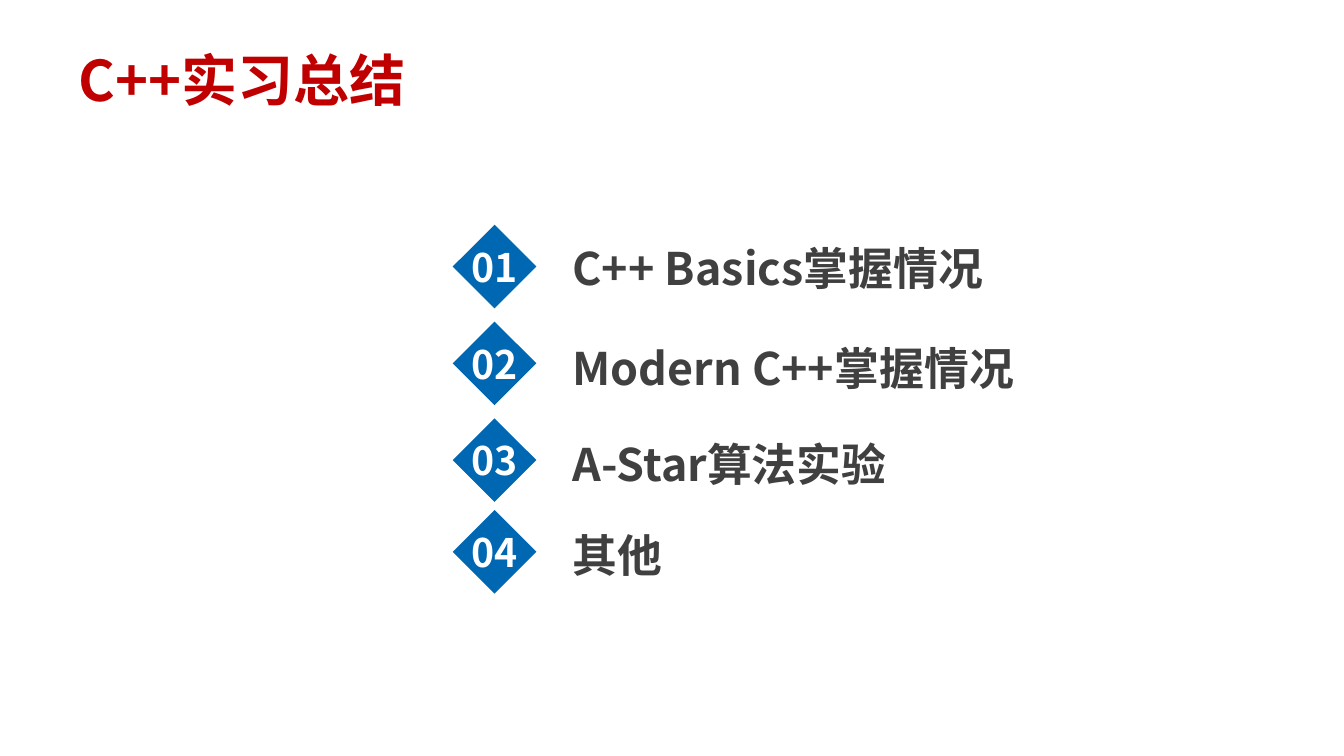
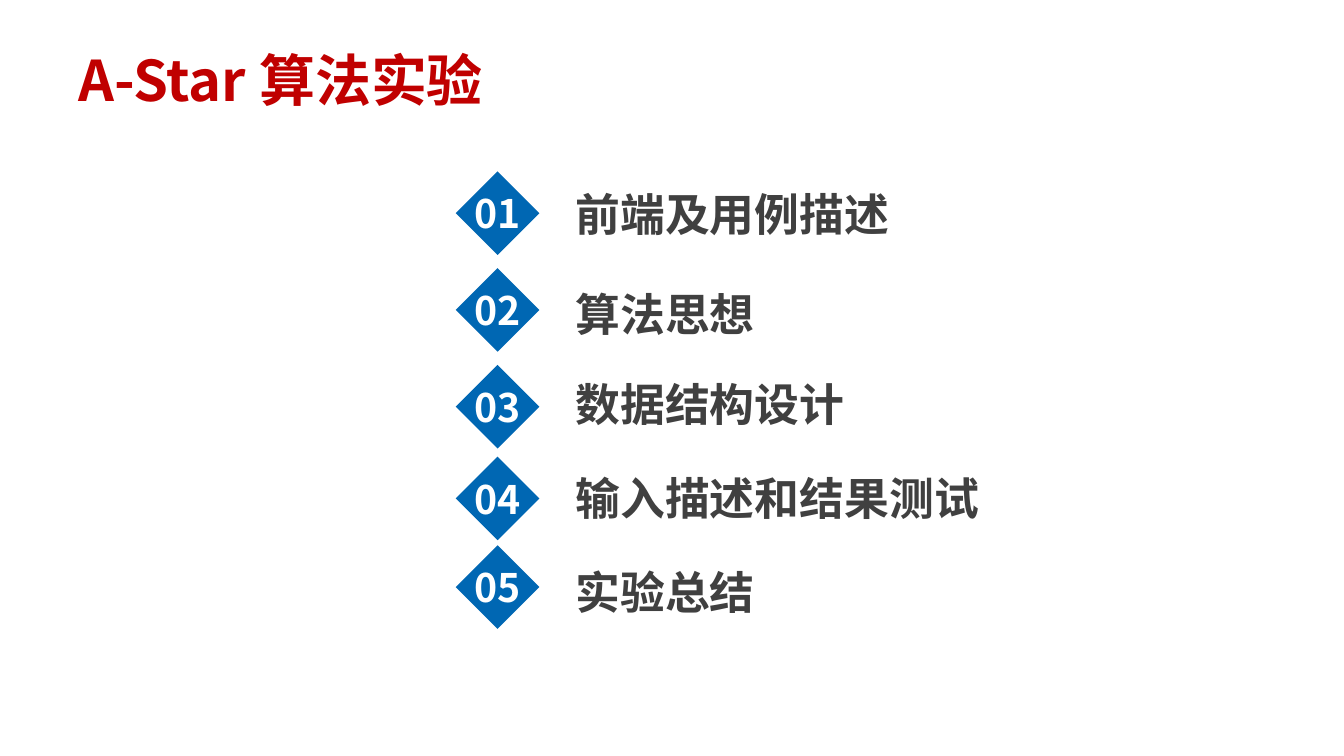
from dataclasses import dataclass

from lxml import etree
from pptx import Presentation
from pptx.dml.color import RGBColor
from pptx.enum.shapes import MSO_SHAPE
from pptx.enum.text import MSO_ANCHOR, PP_ALIGN
from pptx.oxml.ns import qn
from pptx.util import Inches, Pt

DIAMOND = MSO_SHAPE.DIAMOND
MIDDLE = MSO_ANCHOR.MIDDLE
LEFT = PP_ALIGN.LEFT
CENTER = PP_ALIGN.CENTER
BLANK_LAYOUT = 6


@dataclass(frozen=True)
class Theme:
    font: str = "Noto Sans CJK SC"
    title_color: RGBColor = RGBColor(0xC0, 0x00, 0x00)
    label_color: RGBColor = RGBColor(0x40, 0x40, 0x40)
    number_color: RGBColor = RGBColor(0xFF, 0xFF, 0xFF)
    diamond_color: RGBColor = RGBColor(0x00, 0x67, 0xB3)
    title_size: int = 40
    label_size: int = 32
    number_size: int = 28


THEME = Theme()
DIAMOND_SIZE = 0.83
LABEL_OFFSET = 1.09

AGENDAS = [
    ("C++实习总结", 4.49, [
        ("C++ Basics掌握情况", 2.23, 2.34),
        ("Modern C++掌握情况", 3.19, 3.33),
        ("A-Star算法实验", 4.15, 4.28),
        ("其他", 5.06, 5.19),
    ]),
    ("A-Star 算法实验", 4.52, [
        ("前端及用例描述", 1.7, 1.8),
        ("算法思想", 2.66, 2.8),
        ("数据结构设计", 3.62, 3.69),
        ("输入描述和结果测试", 4.53, 4.62),
        ("实验总结", 5.41, 5.55),
    ]),
]


def write_text(text_frame, text, size, color, alignment=LEFT):
    paragraph = text_frame.paragraphs[0]
    paragraph.text = text
    paragraph.alignment = alignment
    font = paragraph.font
    font.name = THEME.font
    font.size = Pt(size)
    font.bold = True
    font.color.rgb = color
    properties = paragraph._p.pPr.find(qn("a:defRPr"))
    etree.SubElement(properties, qn("a:ea"), typeface=THEME.font)


def add_text(slide, text, left, top, width, height, size, color):
    box = slide.shapes.add_textbox(
        Inches(left), Inches(top), Inches(width), Inches(height))
    box.text_frame.word_wrap = True
    write_text(box.text_frame, text, size, color)


def add_number_diamond(slide, number, left, top):
    diamond = slide.shapes.add_shape(
        DIAMOND, Inches(left), Inches(top),
        Inches(DIAMOND_SIZE), Inches(DIAMOND_SIZE))
    diamond.shadow.inherit = False
    diamond.fill.solid()
    diamond.fill.fore_color.rgb = THEME.diamond_color
    diamond.line.fill.background()
    text_frame = diamond.text_frame
    text_frame.word_wrap = False
    text_frame.vertical_anchor = MIDDLE
    text_frame.margin_left = text_frame.margin_right = 0
    text_frame.margin_top = text_frame.margin_bottom = 0
    write_text(text_frame, f"{number:02d}", THEME.number_size,
               THEME.number_color, CENTER)


def add_agenda_slide(presentation, title, left, items):
    slide = presentation.slides.add_slide(
        presentation.slide_layouts[BLANK_LAYOUT])
    add_text(slide, title, 0.68, 0.4, 5.61, 0.77,
             THEME.title_size, THEME.title_color)
    for number, (label, diamond_top, label_top) in enumerate(items, 1):
        add_number_diamond(slide, number, left, diamond_top)
        add_text(slide, label, left + LABEL_OFFSET, label_top, 5.2, 0.64,
                 THEME.label_size, THEME.label_color)


def main():
    presentation = Presentation()
    presentation.slide_width = Inches(13.33)
    presentation.slide_height = Inches(7.5)
    for title, left, items in AGENDAS:
        add_agenda_slide(presentation, title, left, items)
    presentation.save("out.pptx")


if __name__ == "__main__":
    main()
